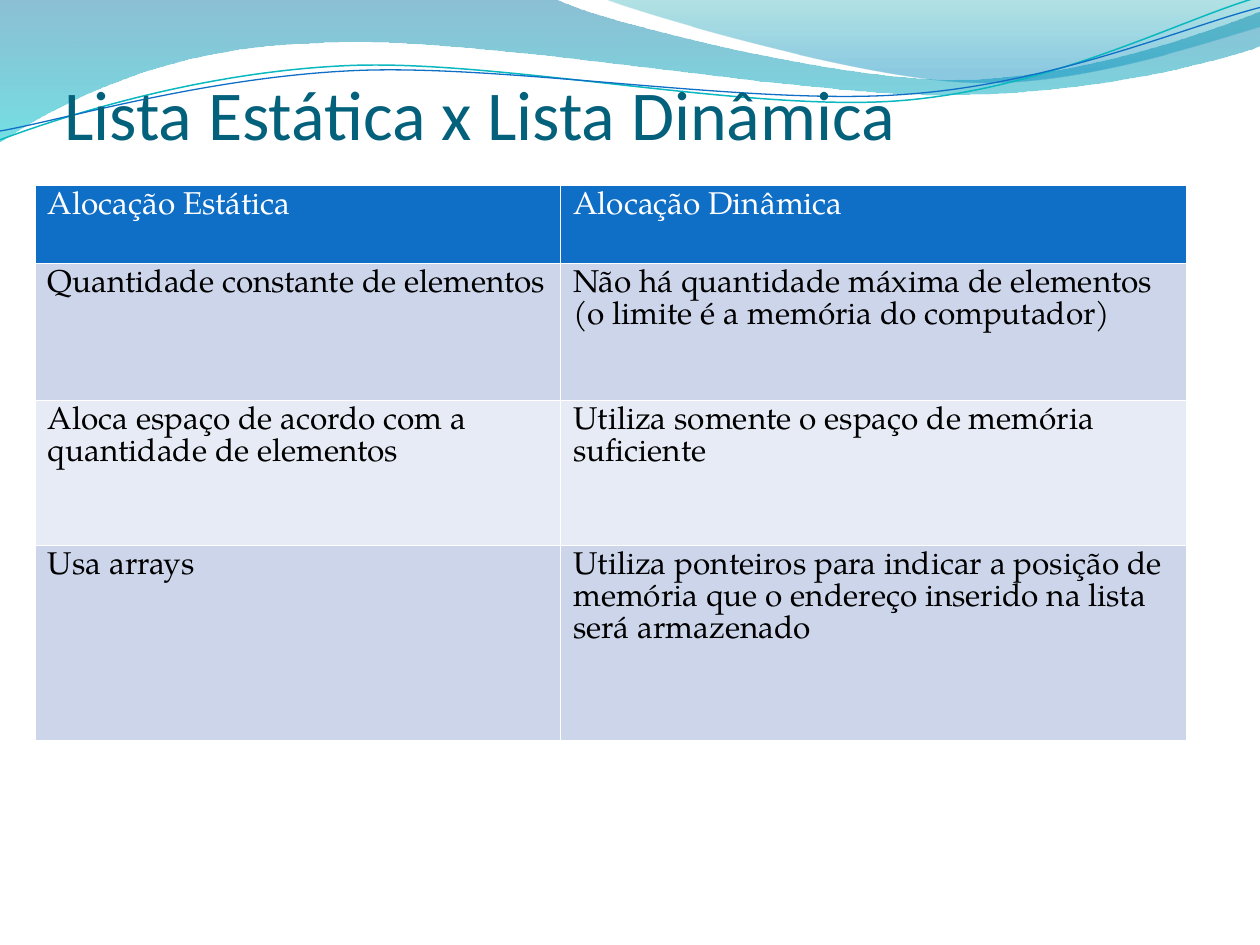
"""Build the slide comparing static and dynamic list allocation."""
import math
from lxml import etree
from pptx import Presentation
from pptx import util as u
from pptx.dml.color import RGBColor
from pptx.enum import text
from pptx.oxml import ns

DEEP_BLUE = RGBColor(0x00, 0x74, 0xA1)
CYAN = RGBColor(0x00, 0xC6, 0xCF)
TEAL = RGBColor(0x00, 0xA1, 0xA9)
SEA_BLUE = RGBColor(0x00, 0x8B, 0xBF)
AQUA = RGBColor(0x0A, 0xB8, 0xBF)
BLUE = RGBColor(0x0F, 0x6F, 0xC6)
TITLE_TEAL = RGBColor(0x04, 0x61, 0x7B)
BAND_DARK = RGBColor(0xCC, 0xD5, 0xEA)
BAND_LIGHT = RGBColor(0xE7, 0xEB, 0xF5)
WHITE = RGBColor(0xFF, 0xFF, 0xFF)
BLACK = RGBColor(0x00, 0x00, 0x00)


def trace(start, segments, closed, center=(0, 0), tilt=0):
    """Draw line ends (x, y) and cubic curves of three points, tilted about a center."""
    turn = math.radians(-tilt)
    points = []
    for pair in [start] + [p for s in segments for p in zip(s[::2], s[1::2])]:
        dx, dy = pair[0] - center[0], pair[1] - center[1]
        x = center[0] + dx * math.cos(turn) - dy * math.sin(turn)
        y = center[1] + dx * math.sin(turn) + dy * math.cos(turn)
        points.append((u.Inches(x), u.Inches(y)))
    builder = slide.shapes.build_freeform(*points[0], scale=1.0)
    builder.add_line_segments(points[1:], close=closed)
    outline = builder.convert_to_shape()
    outline.shadow.inherit = False
    outline.rotation = tilt
    strokes = iter(list(outline.element.iter(ns.qn("a:lnTo"))))
    for segment in segments:
        if len(segment) == 6:
            first, second, last = next(strokes), next(strokes), next(strokes)
            curve = etree.Element(ns.qn("a:cubicBezTo"))
            first.addprevious(curve)
            for stroke in (first, second, last):
                curve.append(stroke[0])
                stroke.getparent().remove(stroke)
        else:
            next(strokes)
    return outline


deck = Presentation()
deck.slide_width, deck.slide_height = u.Inches(10), u.Inches(7.5)
slide = deck.slides.add_slide(deck.slide_layouts[5])

waves = [
    ((0, 0), [(4.4, -0.01), (4.76, 0.17, 6.64, 0.63, 7.58, 0.63),
              (8.53, 0.63, 9.58, 0.26, 10, 0.09), (10.01, 0.36),
              (9.83, 0.44, 8.7, 0.76, 7.46, 0.75), (6.22, 0.75, 3.82, 0.28, 2.57, 0.34),
              (1.29, 0.36, 0.46, 0.83, -0.01, 1.13), (0, 0)],
     [(0, DEEP_BLUE, 45), (1, CYAN, 55)]),
    ((4.79, -0.01), [(5.09, 0.11, 6.82, 0.62, 7.69, 0.65),
                     (8.56, 0.69, 9.61, 0.32, 10, 0.21), (10, 0), (4.79, -0.01)],
     [(0, TEAL, 30), (0.8, SEA_BLUE, 45)]),
]
for start, segments, stops in waves:
    wave = trace(start, segments, True)
    wave.line.fill.background()
    wave.fill.gradient()
    wave.fill.gradient_angle = 270
    for stop, (position, color, opacity) in zip(wave.fill.gradient_stops, stops):
        stop.position = position
        stop.color.rgb = color
    for tint, (position, color, opacity) in zip(wave.element.spPr.iter(ns.qn("a:srgbClr")), stops):
        etree.SubElement(tint, ns.qn("a:alpha"), val=str(opacity * 1000))

ripples = [
    ((0, 1.11), [(0.48, 0.93, 1.58, 0.57, 2.77, 0.52), (3.95, 0.47, 5.93, 0.89, 7.13, 0.8),
                 (8.33, 0.71, 9.38, 0.15, 9.98, -0.02)], (4.99, 0.58), AQUA, 0.85),
    ((0, 1.04), [(0.47, 0.96, 1.64, 0.61, 2.83, 0.56), (4.03, 0.51, 5.97, 0.84, 7.17, 0.75),
                 (8.36, 0.67, 9.41, 0.21, 10, 0.06)], (5, 0.59), BLUE, 0.75),
]
for start, segments, center, color, width in ripples:
    ripple = trace(start, segments, False, center, -2.7)
    ripple.fill.background()
    ripple.line.color.rgb = color
    ripple.line.width = u.Pt(width)

title = slide.shapes.title
ripple.element.addnext(title.element)
title.left, title.top = u.Inches(0.51), u.Inches(0.44)
title.width, title.height = u.Inches(9.22), u.Inches(0.79)
heading = title.text_frame
heading.text = "Lista Estática x Lista Dinâmica"
heading.auto_size = text.MSO_AUTO_SIZE.NONE
heading.vertical_anchor = text.MSO_ANCHOR.BOTTOM
heading.margin_left = heading.margin_right = heading.margin_bottom = 0
heading.margin_top = u.Inches(0.05)
heading.paragraphs[0].alignment = text.PP_ALIGN.LEFT
heading_font = heading.paragraphs[0].runs[0].font
heading_font.name, heading_font.size = "Calibri", u.Pt(40)
heading_font.color.rgb = TITLE_TEAL

comparison = [
    ("Alocação Estática", "Alocação Dinâmica"),
    ("Quantidade constante de elementos",
     "Não há quantidade máxima de elementos (o limite é a memória do computador)"),
    ("Aloca espaço de acordo com a quantidade de elementos",
     "Utiliza somente o espaço de memória suficiente"),
    ("Usa arrays",
     "Utiliza ponteiros para indicar a posição de memória que o endereço inserido na lista será armazenado"),
]
row_fills = [BLUE, BAND_DARK, BAND_LIGHT, BAND_DARK]
table = slide.shapes.add_table(4, 2, u.Inches(0.28), u.Inches(1.47), u.Inches(9.14), u.Inches(4.41)).table
for column, width in zip(table.columns, (4.17, 4.97)):
    column.width = u.Inches(width)
for row, height in zip(table.rows, (0.62, 1.09, 1.15, 1.55)):
    row.height = u.Inches(height)

for r, entries in enumerate(comparison):
    for c, entry in enumerate(entries):
        cell = table.cell(r, c)
        cell.text = entry
        font = cell.text_frame.paragraphs[0].runs[0].font
        font.name, font.size, font.bold = "TeX Gyre Pagella", u.Pt(18), False
        font.color.rgb = WHITE if r == 0 else BLACK
        cell.fill.solid()
        cell.fill.fore_color.rgb = row_fills[r]

deck.save("out.pptx")
